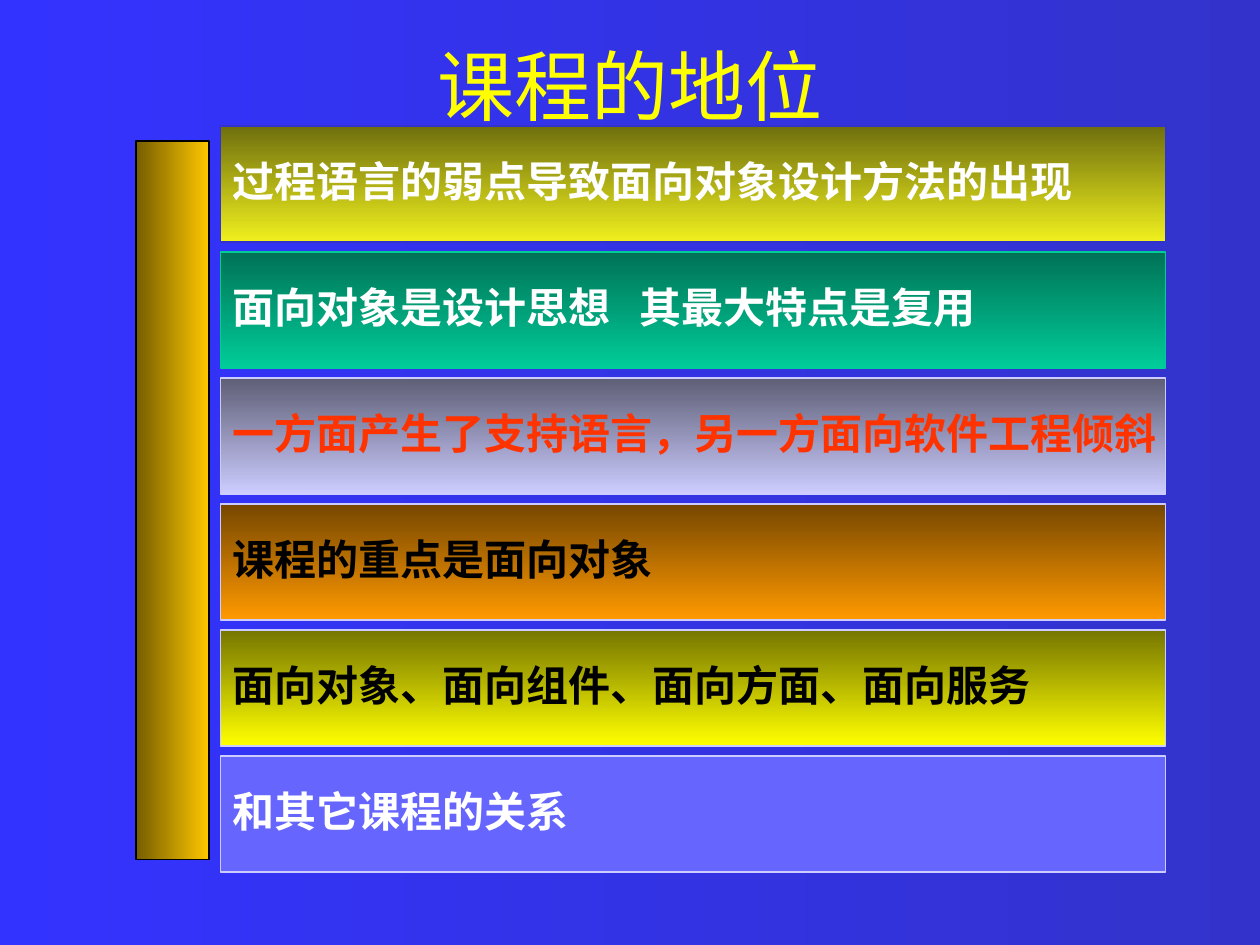
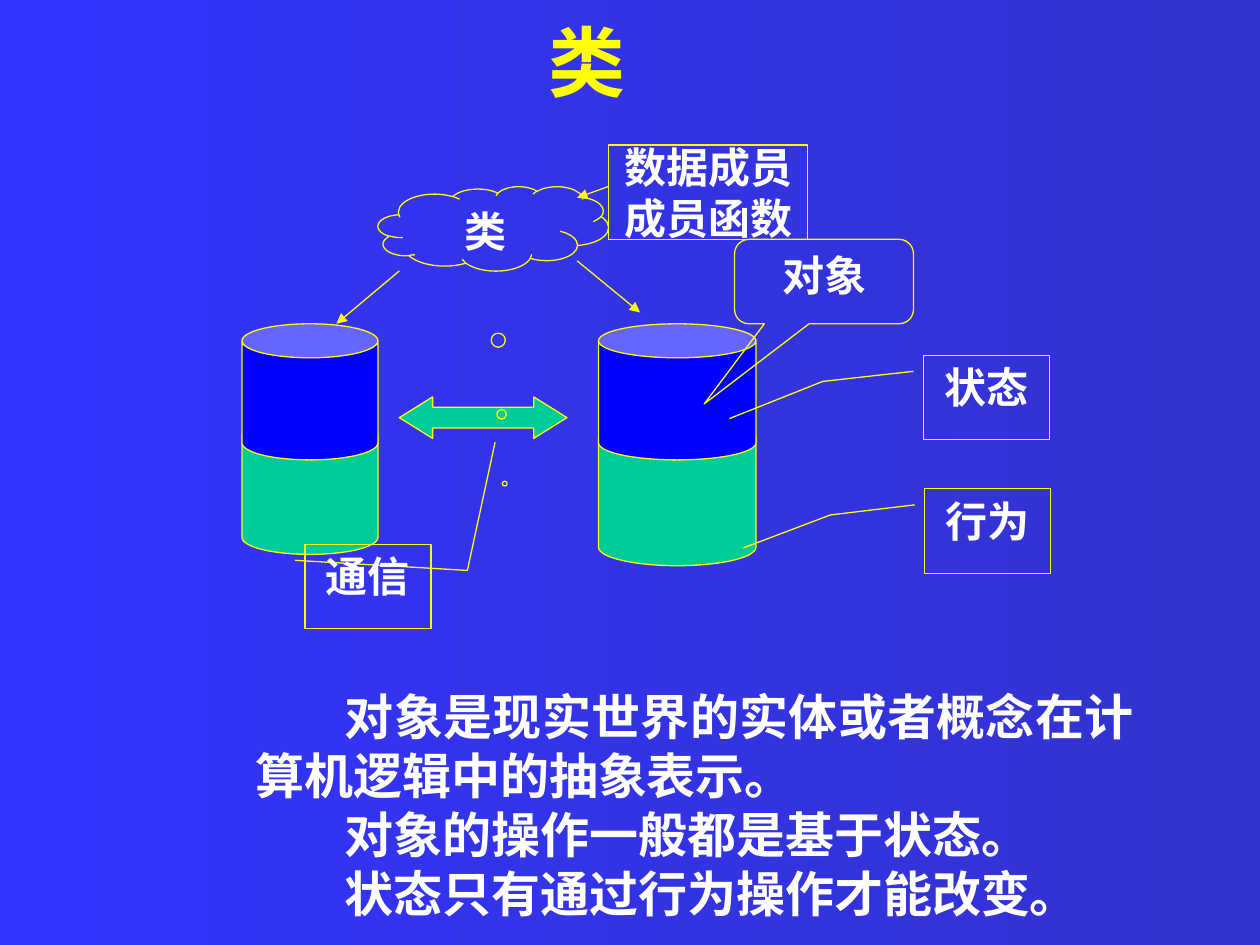
from lxml import etree
from pptx import Presentation
from pptx.dml.color import RGBColor
from pptx.enum.shapes import MSO_CONNECTOR, MSO_SHAPE
from pptx.enum.text import MSO_ANCHOR, PP_ALIGN
from pptx.oxml.ns import qn
from pptx.util import Inches, Pt

RECT, CAN = MSO_SHAPE.RECTANGLE, MSO_SHAPE.CAN
ARROW = MSO_SHAPE.LEFT_RIGHT_ARROW
CLOUD = MSO_SHAPE.CLOUD_CALLOUT
SPEECH = MSO_SHAPE.ROUNDED_RECTANGULAR_CALLOUT
NOTE = MSO_SHAPE.LINE_CALLOUT_2
LINE = MSO_CONNECTOR.STRAIGHT
TOP, MID = MSO_ANCHOR.TOP, MSO_ANCHOR.MIDDLE
LEFT, CENTER, FULL = PP_ALIGN.LEFT, PP_ALIGN.CENTER, PP_ALIGN.JUSTIFY

LATIN, HAN = "Times New Roman", "Noto Sans CJK SC"
YELLOW, WHITE, BLACK, RED = "FFFF00", "FFFFFF", "000000", "FF3300"
GREEN, BLUE, PALE = "00CC99", "0000FF", "CCCCFF"
BACK = ("3333FF", "3333CC")

# Slide 1: text, text colour, fill (one colour or a gradient), edge
BARS = [
    ("过程语言的弱点导致面向对象设计方法的出现", WHITE, ("6F6F0E", "F0F01E"), "3333CC"),
    ("面向对象是设计思想\t其最大特点是复用", WHITE, ("007256", GREEN), GREEN),
    ("一方面产生了支持语言，另一方面向软件工程倾斜", RED, ("5E5E76", PALE), PALE),
    ("课程的重点是面向对象", BLACK, ("764700", "FF9900"), PALE),
    ("面向对象、面向组件、面向方面、面向服务", BLACK, ("767600", YELLOW), PALE),
    ("和其它课程的关系", WHITE, "6666FF", PALE),
]
PITCH, FIRST, TALL = 1.0, 1.0, 0.92
STOP = 3.23

# Slide 2: kind, box, fill, adjustments
BODIES = [
    (CAN, (1.92, 3.32, 1.08, 1.08), GREEN, [0.25]),
    (CAN, (1.92, 2.57, 1.08, 1.08), BLUE, [0.25]),
    (CAN, (4.75, 3.32, 1.25, 1.17), GREEN, [0.25]),
    (ARROW, (3.17, 3.15, 1.33, 0.33), GREEN, [0.5, 0.8]),
    (CAN, (4.75, 2.57, 1.25, 1.08), BLUE, [0.25]),
]
# kind, box, adjustments, lines of text, anchor
LABELS = [
    (CLOUD, (3, 1.48, 1.83, 0.67), [0.05, 3.02], ["类"], TOP),
    (SPEECH, (5.83, 1.9, 1.42, 0.67), [-0.67, 1.45, 0.17], ["对象"], TOP),
    (NOTE, (7.33, 2.82, 1, 0.67), [0.19, -0.08, 0.31, -0.8, 0.75, -1.54], ["状态"], TOP),
    (NOTE, (7.34, 3.88, 1, 0.67), [0.19, -0.08, 0.31, -0.75, 0.7, -1.44], ["行为"], TOP),
    (NOTE, (2.42, 4.32, 1, 0.67), [0.19, -0.08, 0.31, 1.29, -1.21, 1.51], ["通信"], TOP),
    (RECT, (4.83, 1.15, 1.58, 0.75), [], ["数据成员", "成员函数"], MID),
]
ARROWS = [(3.17, 2.15, 2.67, 2.57), (4.58, 2.07, 5.08, 2.48), (4.83, 1.48, 4.58, 1.57)]
NOTES = [
    "对象是现实世界的实体或者概念在计算机逻辑中的抽象表示。",
    "对象的操作一般都是基于状态。",
    "状态只有通过行为操作才能改变。",
]


def rgb(hue):
    return RGBColor.from_string(hue)


def paint(fill, hue, angle=0):
    """Fill with nothing, one colour, or a pair as a gradient."""
    if hue is None:
        fill.background()
    elif isinstance(hue, str):
        fill.solid()
        fill.fore_color.rgb = rgb(hue)
    else:
        fill.gradient()
        fill.gradient_angle = angle
        for stop, tone in zip(fill.gradient_stops, hue):
            stop.color.rgb = rgb(tone)


def write(frame, lines, size, hue, align, bold=True, face=LATIN,
          space=None, indent=0, tab=None):
    frame.text = "\n".join(lines)
    for para in frame.paragraphs:
        para.alignment = align
        if space:
            para.line_spacing = space
        props = para._p.get_or_add_pPr()
        if indent:
            props.set("indent", str(Inches(indent)))
        if tab:
            tabs = etree.SubElement(props, qn("a:tabLst"))
            etree.SubElement(tabs, qn("a:tab"), pos=str(Inches(tab)), algn="l")
        font = para.font
        font.size, font.bold, font.name = Pt(size), bold, face
        font.color.rgb = rgb(hue)
        etree.SubElement(props.find(qn("a:defRPr")), qn("a:ea"), typeface=HAN)


def place(part, box):
    part.left, part.top, part.width, part.height = map(Inches, box)


def shape(slide, kind, box, fill, edge=YELLOW, width=0.75, adjust=(), angle=0):
    part = slide.shapes.add_shape(kind, *map(Inches, box))
    part.shadow.inherit = False
    paint(part.fill, fill, angle)
    part.line.color.rgb = rgb(edge)
    part.line.width = Pt(width)
    for i, value in enumerate(adjust):
        part.adjustments[i] = value
    return part


def arrow(slide, ends):
    part = slide.shapes.add_connector(LINE, *map(Inches, ends))
    part.line.color.rgb = rgb(YELLOW)
    part.line.width = Pt(0.75)
    etree.SubElement(part.line._get_or_add_ln(), qn("a:tailEnd"), type="triangle")
    etree.SubElement(part._element.spPr, qn("a:effectLst"))


def start(deck, title, box, bold):
    slide = deck.slides.add_slide(deck.slide_layouts[5])
    head = slide.shapes.title
    place(head, box)
    head.text_frame.vertical_anchor = MID
    write(head.text_frame, [title], 44, YELLOW, CENTER, bold)
    return slide


def status(deck):
    slide = start(deck, "课程的地位", (0, 0.05, 10, 1.25), False)
    shape(slide, RECT, (1.08, 1.12, 0.58, 5.7), ("765D00", "FFC800"), BLACK)
    for i, (text, hue, fill, edge) in enumerate(BARS):
        box = (1.75, FIRST + i * PITCH, 7.5, TALL)
        bar = shape(slide, RECT, box, fill, edge, 1, angle=270)
        frame = bar.text_frame
        frame.word_wrap, frame.vertical_anchor = False, MID
        write(frame, [text], 24, hue, LEFT, face=HAN, space=0.9,
              tab=STOP if "\t" in text else None)


def classes(deck):
    slide = start(deck, "类", (-0.34, 0.13, 10, 0.71), True)
    for kind, box, fill, adjust in BODIES:
        shape(slide, kind, box, fill, adjust=adjust)
    for kind, box, adjust, lines, anchor in LABELS:
        frame = shape(slide, kind, box, None, adjust=adjust).text_frame
        frame.word_wrap, frame.vertical_anchor = kind != RECT, anchor
        write(frame, lines, 24, WHITE, CENTER)
    for ends in ARROWS:
        arrow(slide, ends)
    # Explanation below the diagram
    frame = slide.shapes.add_textbox(*map(Inches, (1.93, 5.4, 7.17, 1.97))).text_frame
    frame.word_wrap = True
    write(frame, NOTES, 28, WHITE, FULL, indent=0.71)


def main():
    deck = Presentation()
    deck.slide_width, deck.slide_height = Inches(10), Inches(7.5)
    paint(deck.slide_master.background.fill, BACK)
    status(deck)
    classes(deck)
    deck.save("out.pptx")


if __name__ == "__main__":
    main()
